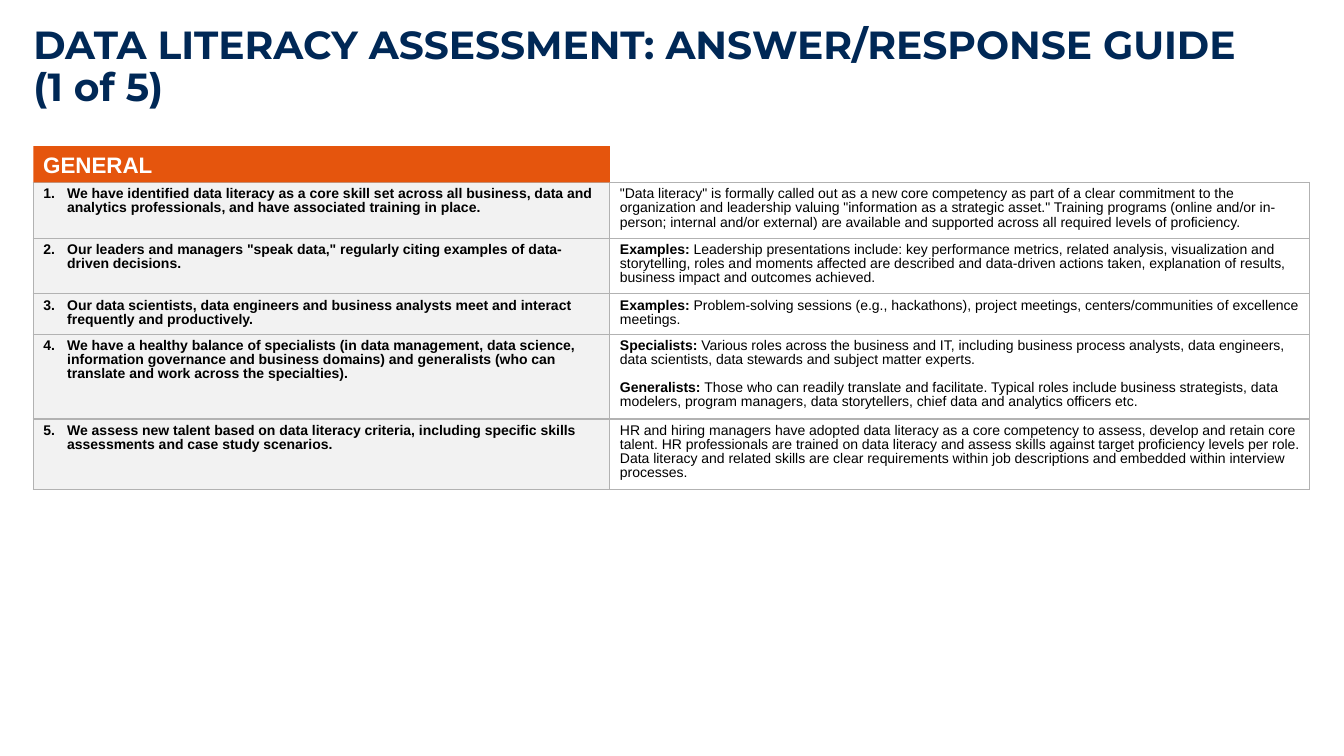
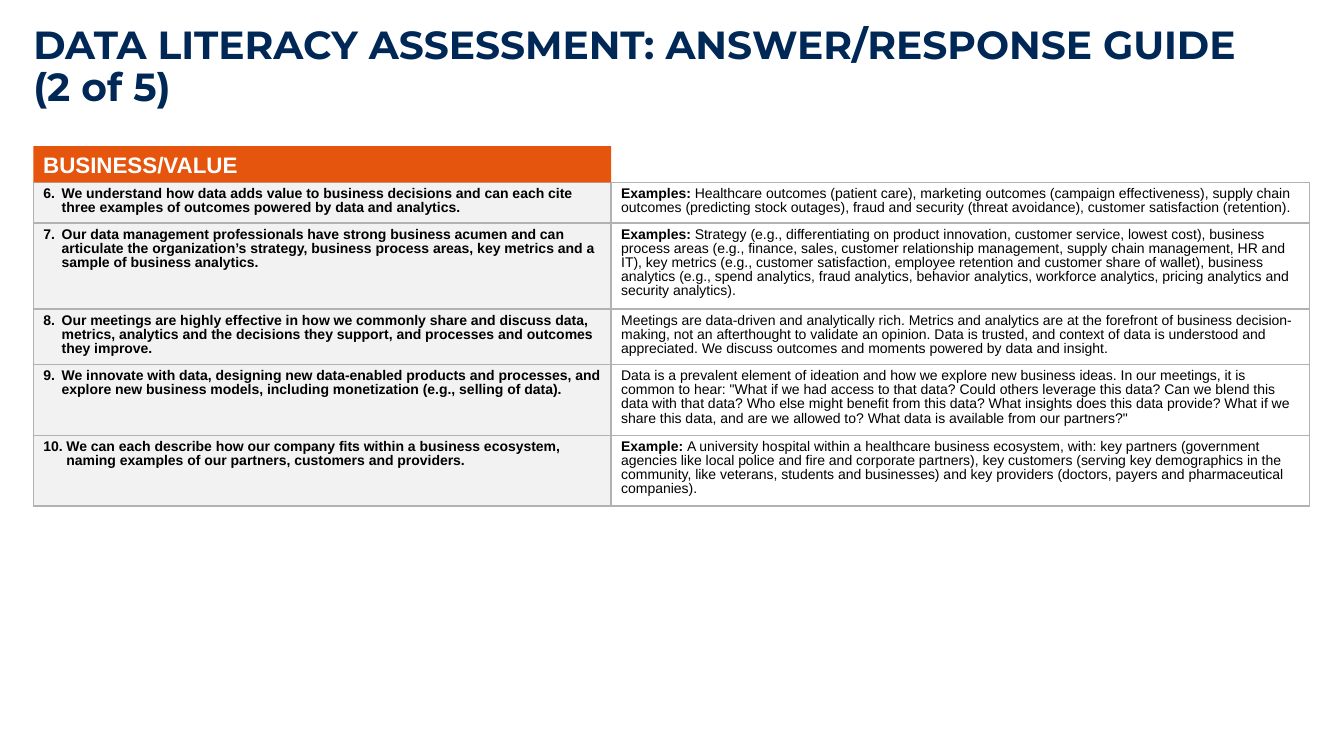
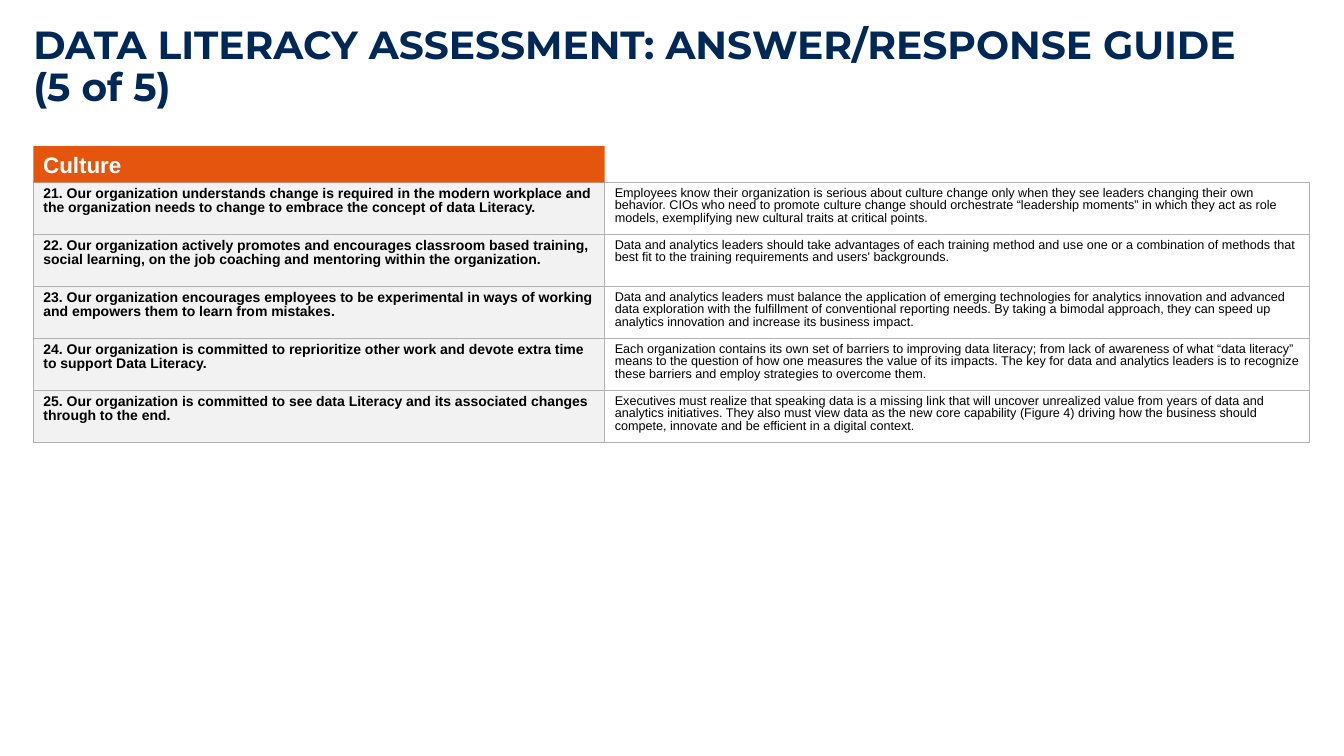
from lxml.etree import SubElement
from pptx import Presentation
from pptx.dml.color import RGBColor
from pptx.enum.shapes import MSO_SHAPE
from pptx.enum.text import MSO_ANCHOR, PP_ALIGN
from pptx.oxml.ns import qn
from pptx.util import Cm, Pt

NAVY, ORANGE, WHITE, BLACK = "002856", "E5550D", "FFFFFF", "000000"
QUESTION_FILL, BORDER = "F2F2F2", "B2B2B2"


def color(hex_text):
    return RGBColor.from_string(hex_text)


class Guide:
    """Build the slides of an assessment answer guide in one shared style."""

    left, width = 0.84, 32.16
    header_top, header_height = 3.68, 0.92
    cell_margins = 0.26

    def __init__(self):
        self.presentation = Presentation()
        self.presentation.slide_width = Cm(33.87)
        self.presentation.slide_height = Cm(19.05)
        self.slide = None

    def add_slide(self, page):
        self.slide = self.presentation.slides.add_slide(self.presentation.slide_layouts[6])
        self.add_title(f"DATA LITERACY ASSESSMENT: ANSWER/RESPONSE GUIDE\v({page} of 5)")

    def format_runs(self, paragraph, size, hex_text, bold, font="Arial"):
        for run in paragraph.runs:
            run.font.name = font
            run.font.size = Pt(size)
            run.font.bold = bold
            run.font.color.rgb = color(hex_text)

    def add_title(self, text):
        box = self.slide.shapes.add_textbox(Cm(self.left), Cm(0.64), Cm(self.width), Cm(2.41))
        frame = box.text_frame
        frame.word_wrap = True
        frame.margin_left = frame.margin_right = frame.margin_top = frame.margin_bottom = 0
        paragraph = frame.paragraphs[0]
        paragraph.text = text
        paragraph.line_spacing = 0.9
        self.format_runs(paragraph, 28, NAVY, True, "Montserrat")

    def add_header(self, text, width):
        shape = self.slide.shapes.add_shape(
            MSO_SHAPE.RECTANGLE, Cm(self.left), Cm(self.header_top), Cm(width), Cm(self.header_height))
        shape.shadow.inherit = False
        shape.fill.solid()
        shape.fill.fore_color.rgb = color(ORANGE)
        shape.line.fill.background()
        frame = shape.text_frame
        frame.word_wrap = True
        frame.vertical_anchor = MSO_ANCHOR.MIDDLE
        paragraph = frame.paragraphs[0]
        paragraph.text = text
        paragraph.alignment = PP_ALIGN.LEFT
        self.format_runs(paragraph, 16, WHITE, True)

    def style_cell(self, cell, fill):
        properties = cell._tc.get_or_add_tcPr()
        for side in ("a:lnL", "a:lnR", "a:lnT", "a:lnB"):
            line = SubElement(properties, qn(side), w=str(Pt(1)))
            line_fill = SubElement(line, qn("a:solidFill"))
            SubElement(line_fill, qn("a:srgbClr"), val=BORDER)
        cell.fill.solid()
        cell.fill.fore_color.rgb = color(fill)

    def number_paragraph(self, paragraph, number, indent):
        properties = paragraph._p.get_or_add_pPr()
        properties.set("marL", str(Cm(indent)))
        properties.set("indent", str(-Cm(indent)))
        SubElement(properties, qn("a:buFont"), typeface="+mj-lt")
        SubElement(properties, qn("a:buAutoNum"), type="arabicPeriod", startAt=str(number))

    def fill_question(self, cell, text, number, indent):
        self.style_cell(cell, QUESTION_FILL)
        paragraph = cell.text_frame.paragraphs[0]
        paragraph.text = text
        paragraph.line_spacing = 0.9
        if indent:
            self.number_paragraph(paragraph, number, 0.58 if number > 9 else indent)
        self.format_runs(paragraph, 10, BLACK, True)

    def fill_answer(self, cell, parts, size, spacing):
        self.style_cell(cell, WHITE)
        frame = cell.text_frame
        for index, (lead, body) in enumerate(parts):
            paragraph = frame.add_paragraph() if index else frame.paragraphs[0]
            paragraph.text = body if not lead else f"{lead} "
            if lead:
                paragraph.add_run().text = body
            paragraph.line_spacing = spacing
            if index:
                paragraph.space_before = Pt(10)
            self.format_runs(paragraph, size, BLACK, False)
            if lead:
                paragraph.runs[0].font.bold = True

    def add_answers(self, rows, first_width, first_number, indent, size, spacing, line_height):
        heights = [Cm(lines * line_height + self.cell_margins) for lines, *_ in rows]
        frame = self.slide.shapes.add_table(
            len(rows), 2, Cm(self.left), Cm(self.header_top + self.header_height),
            Cm(self.width), sum(heights))
        table = frame.table
        table.first_row = table.horz_banding = False
        table.columns[0].width = Cm(first_width)
        table.columns[1].width = Cm(self.width - first_width)
        for index, (lines, question, *parts) in enumerate(rows):
            table.rows[index].height = heights[index]
            self.fill_question(table.cell(index, 0), question, first_number + index, indent)
            self.fill_answer(table.cell(index, 1), parts, size, spacing)

    def add_topic(self, page, topic, rows, first_width, first_number,
                  indent=0, size=10, spacing=0.9, line_height=0.355):
        self.add_slide(page)
        self.add_answers(rows, first_width, first_number, indent, size, spacing, line_height)
        self.add_header(topic, first_width)


GENERAL = [
    (3, "We have identified data literacy as a core skill set across all business, data and "
        "analytics professionals, and have associated training in place.",
     ("", "\"Data literacy\" is formally called out as a new core competency as part of a clear "
          "commitment to the organization and leadership valuing \"information as a strategic asset.\" "
          "Training programs (online and/or in-person; internal and/or external) are available and "
          "supported across all required levels of proficiency.")),
    (3, "Our leaders and managers \"speak data,\" regularly citing examples of data-driven decisions.",
     ("Examples:", "Leadership presentations include: key performance metrics, related analysis, "
                   "visualization and storytelling, roles and moments affected are described and "
                   "data-driven actions taken, explanation of results, business impact and outcomes "
                   "achieved.")),
    (2, "Our data scientists, data engineers and business analysts meet and interact frequently "
        "and productively.",
     ("Examples:", "Problem-solving sessions (e.g., hackathons), project meetings, "
                   "centers/communities of excellence meetings.")),
    (5, "We have a healthy balance of specialists (in data management, data science, information "
        "governance and business domains) and generalists (who can translate and work across the "
        "specialties).",
     ("Specialists:", "Various roles across the business and IT, including business process analysts, "
                      "data engineers, data scientists, data stewards and subject matter experts."),
     ("Generalists:", "Those who can readily translate and facilitate. Typical roles include business "
                      "strategists, data modelers, program managers, data storytellers, chief data and "
                      "analytics officers etc.")),
    (4, "We assess new talent based on data literacy criteria, including specific skills assessments "
        "and case study scenarios.",
     ("", "HR and hiring managers have adopted data literacy as a core competency to assess, develop "
          "and retain core talent. HR professionals are trained on data literacy and assess skills "
          "against target proficiency levels per role. Data literacy and related skills are clear "
          "requirements within job descriptions and embedded within interview processes.")),
]

BUSINESS_VALUE = [
    (2, "We understand how data adds value to business decisions and can each cite three examples of "
        "outcomes powered by data and analytics.",
     ("Examples:", "Healthcare outcomes (patient care), marketing outcomes (campaign effectiveness), "
                   "supply chain outcomes (predicting stock outages), fraud and security (threat "
                   "avoidance), customer satisfaction (retention).")),
    (5, "Our data management professionals have strong business acumen and can articulate the "
        "organization’s strategy, business process areas, key metrics and a sample of business analytics.",
     ("Examples:", "Strategy (e.g., differentiating on product innovation, customer service, lowest "
                   "cost), business process areas (e.g., finance, sales, customer relationship "
                   "management, supply chain management, HR and IT), key metrics (e.g., customer "
                   "satisfaction, employee retention and customer share of wallet), business analytics "
                   "(e.g., spend analytics, fraud analytics, behavior analytics, workforce analytics, "
                   "pricing analytics and security analytics).")),
    (3, "Our meetings are highly effective in how we commonly share and discuss data, metrics, "
        "analytics and the decisions they support, and processes and outcomes they improve.",
     ("", "Meetings are data-driven and analytically rich. Metrics and analytics are at the forefront "
          "of business decision-making, not an afterthought to validate an opinion. Data is trusted, "
          "and context of data is understood and appreciated. We discuss outcomes and moments powered "
          "by data and insight.")),
    (4, "We innovate with data, designing new data-enabled products and processes, and explore new "
        "business models, including monetization (e.g., selling of data).",
     ("", "Data is a prevalent element of ideation and how we explore new business ideas. In our "
          "meetings, it is common to hear: \"What if we had access to that data? Could others leverage "
          "this data? Can we blend this data with that data? Who else might benefit from this data? "
          "What insights does this data provide? What if we share this data, and are we allowed to? "
          "What data is available from our partners?\"")),
    (4, "We can each describe how our company fits within a business ecosystem, naming examples of "
        "our partners, customers and providers.",
     ("Example:", "A university hospital within a healthcare business ecosystem, with: key partners "
                  "(government agencies like local police and fire and corporate partners), key "
                  "customers (serving key demographics in the community, like veterans, students and "
                  "businesses) and key providers (doctors, payers and pharmaceutical companies).")),
]

CULTURE = [
    (3, "21. Our organization understands change is required in the modern workplace and the "
        "organization needs to change to embrace the concept of data Literacy.",
     ("", "Employees know their organization is serious about culture change only when they see leaders "
          "changing their own behavior. CIOs who need to promote culture change should orchestrate "
          "“leadership moments” in which they act as role models, exemplifying new cultural traits at "
          "critical points.")),
    (3, "22. Our organization actively promotes and encourages classroom based training, social "
        "learning, on the job coaching and mentoring within the organization.",
     ("", "Data and analytics leaders should take advantages of each training method and use one or a "
          "combination of methods that best fit to the training requirements and users' backgrounds.")),
    (3, "23. Our organization encourages employees to be experimental in ways of working and empowers "
        "them to learn from mistakes.",
     ("", "Data and analytics leaders must balance the application of emerging technologies for "
          "analytics innovation and advanced data exploration with the fulfillment of conventional "
          "reporting needs. By taking a bimodal approach, they can speed up analytics innovation and "
          "increase its business impact.")),
    (3, "24. Our organization is committed to reprioritize other work and devote extra time to support "
        "Data Literacy.",
     ("", "Each organization contains its own set of barriers to improving data literacy; from lack of "
          "awareness of what “data literacy” means to the question of how one measures the value of its "
          "impacts. The key for data and analytics leaders is to recognize these barriers and employ "
          "strategies to overcome them.")),
    (3, "25. Our organization is committed to see data Literacy and its associated changes through to "
        "the end.",
     ("", "Executives must realize that speaking data is a missing link that will uncover unrealized "
          "value from years of data and analytics initiatives. They also must view data as the new core "
          "capability (Figure 4) driving how the business should compete, innovate and be efficient in "
          "a digital context.")),
]


def main():
    guide = Guide()
    guide.add_topic(1, "GENERAL", GENERAL, 14.53, 1, indent=0.6)
    guide.add_topic(2, "BUSINESS/VALUE", BUSINESS_VALUE, 14.56, 6, indent=0.46)
    guide.add_topic(5, "Culture", CULTURE, 14.4, 21, size=9, spacing=0.88, line_height=0.35)
    guide.presentation.save("out.pptx")


if __name__ == "__main__":
    main()
